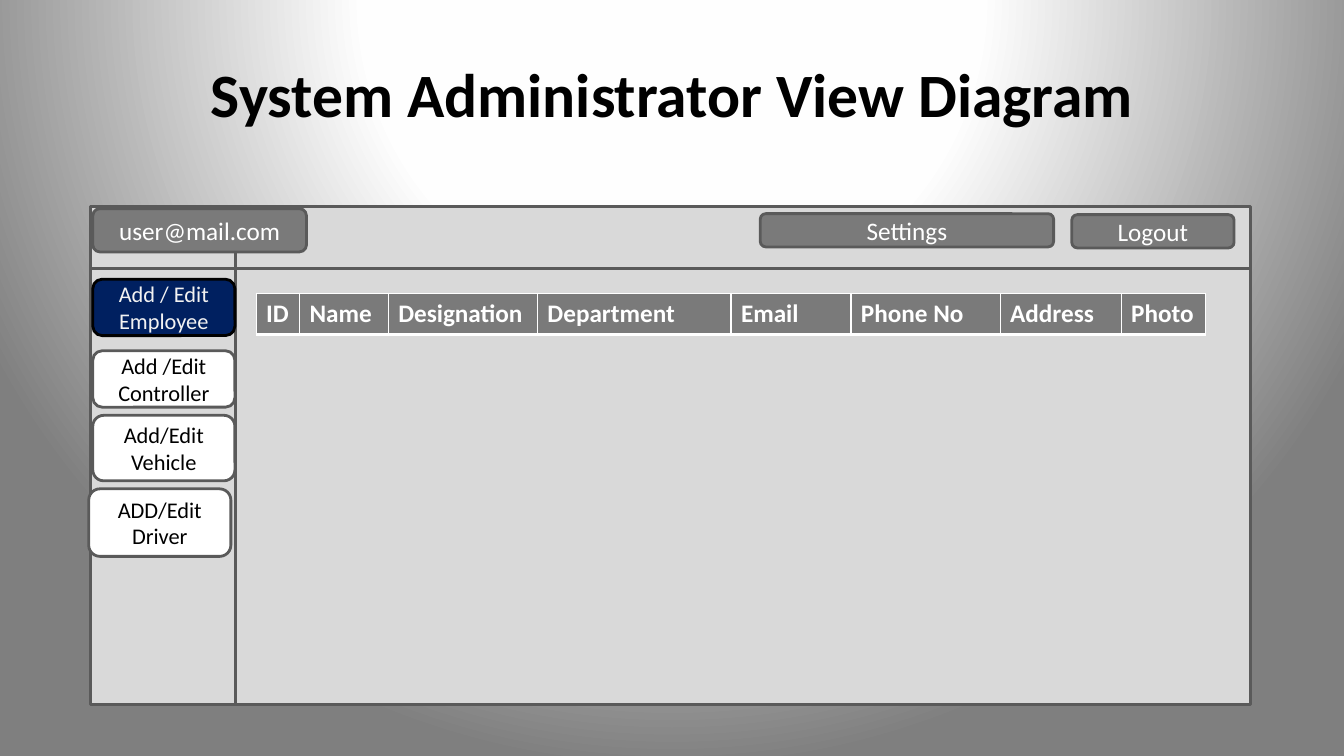
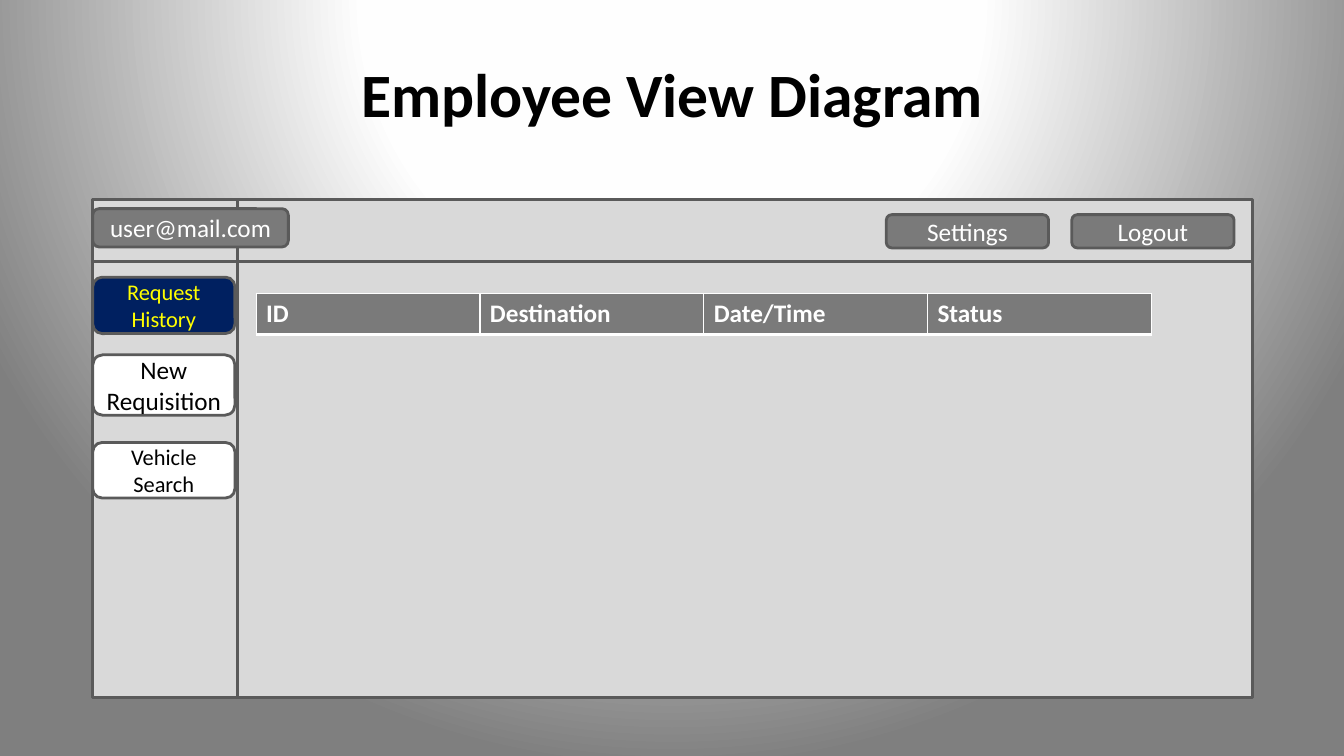
import pptx
import pptx.dml.color
import pptx.enum.shapes
import pptx.enum.text
import pptx.oxml
import pptx.oxml.ns
import pptx.util
import lxml.etree

Inches = pptx.util.Inches
Pt = pptx.util.Pt
qn = pptx.oxml.ns.qn
SHAPES = pptx.enum.shapes.MSO_SHAPE
ALIGN = pptx.enum.text.PP_ALIGN
MIDDLE = pptx.enum.text.MSO_ANCHOR.MIDDLE

COLORS = {
    "black": "000000",
    "white": "FFFFFF",
    "near_white": "FEFEFE",
    "backdrop": "7F7F7F",
    "panel": "D9D9D9",
    "control": "7A7A7A",
    "outline": "5A5A5A",
    "navy": "002060",
    "pale": "F2F2F2",
    "yellow": "FFFF00",
}
FONT = "Calibri"
MENU_LEFT, MENU_WIDTH = 0.92, 1.41


def rgb(name):
    return pptx.dml.color.RGBColor.from_string(COLORS[name])


def add_xml(parent, tag, **attributes):
    return lxml.etree.SubElement(parent, qn(tag), attributes)


class Deck:
    """Holds the shared style and the slide being built."""

    def __init__(self):
        self.prs = pptx.Presentation()
        self.prs.slide_width = Inches(13.33)
        self.prs.slide_height = Inches(7.5)
        self.slide = None
        self.set_background()

    def set_background(self):
        """Give the master a radial gradient lit from above."""
        master = self.prs.slide_master
        master.background.fill.gradient()
        gradient = master.element.find(".//" + qn("a:gradFill"))
        for child in list(gradient):
            gradient.remove(child)
        stops = add_xml(gradient, "a:gsLst")
        for percent, color in ((0, "white"), (40, "near_white"), (100, "backdrop")):
            stop = add_xml(stops, "a:gs", pos=str(percent * 1000))
            add_xml(stop, "a:srgbClr", val=COLORS[color])
        circle = add_xml(gradient, "a:path", path="circle")
        add_xml(circle, "a:fillToRect", l="50000", t="-80000", r="50000", b="180000")

    def style_text(self, paragraph, size, color, bold=False, align=None):
        paragraph.alignment = align
        font = paragraph.font
        font.name, font.size, font.bold = FONT, Pt(size), bold
        font.color.rgb = rgb(color)

    def new_slide(self, heading):
        self.slide = self.prs.slides.add_slide(self.prs.slide_layouts[5])
        title = self.slide.shapes.title
        title.left, title.top = Inches(0.67), Inches(0.3)
        title.width, title.height = Inches(12), Inches(1.25)
        title.text_frame.text = heading
        title.text_frame.vertical_anchor = MIDDLE
        self.style_text(title.text_frame.paragraphs[0], 44, "black", True, ALIGN.CENTER)

    def box(self, kind, left, top, width, height, fill, line="outline"):
        shape = self.slide.shapes.add_shape(
            kind, Inches(left), Inches(top), Inches(width), Inches(height))
        shape.shadow.inherit = False
        shape.fill.solid()
        shape.fill.fore_color.rgb = rgb(fill)
        shape.line.color.rgb = rgb(line)
        shape.line.width = Pt(2)
        return shape

    def window(self, left, top):
        self.box(SHAPES.FLOWCHART_INTERNAL_STORAGE, left, top, 11.5, 4.94, "panel")

    def button(self, label, left, top, width, height, size=18,
               fill="control", color="white", line="outline"):
        button = self.box(SHAPES.ROUNDED_RECTANGLE, left, top, width, height, fill, line)
        frame = button.text_frame
        frame.word_wrap = True
        frame.vertical_anchor = MIDDLE
        frame.text = label
        self.style_text(frame.paragraphs[0], size, color, align=ALIGN.CENTER)

    def menu_item(self, label, top, height, left=MENU_LEFT, size=16,
                  fill="white", color="black", line="outline"):
        self.button(label, left, top, MENU_WIDTH, height, size, fill, color, line)

    def table_header(self, columns):
        total = sum(width for _, width in columns)
        table = self.slide.shapes.add_table(
            1, len(columns), Inches(2.54), Inches(2.91), Inches(total), Inches(0.41)).table
        table.horz_banding = False
        for index, (label, width) in enumerate(columns):
            table.columns[index].width = Inches(width)
            cell = table.cell(0, index)
            cell.text = label
            self.style_text(cell.text_frame.paragraphs[0], 18, "white", True)
            self.cell_borders(cell)
            cell.fill.solid()
            cell.fill.fore_color.rgb = rgb("control")

    def cell_borders(self, cell):
        """White rules, heavier below."""
        properties = cell._tc.get_or_add_tcPr()
        for side, points in (("L", 1), ("R", 1), ("T", 1), ("B", 3)):
            rule = add_xml(properties, "a:ln" + side, w=str(Pt(points)))
            add_xml(add_xml(rule, "a:solidFill"), "a:srgbClr", val=COLORS["white"])


def administrator_view(deck):
    deck.new_slide("System Administrator View Diagram")
    deck.window(0.9, 2.05)

    # Top bar
    deck.button("Logout", 10.63, 2.13, 1.61, 0.33)
    deck.button("Settings", 7.54, 2.12, 2.91, 0.33)
    deck.button("user@mail.com", MENU_LEFT, 2.07, 2.12, 0.43)

    # Side menu
    deck.menu_item("Add / Edit Employee", 2.77, 0.56,
                   fill="navy", color="pale", line="black")
    deck.menu_item("Add /Edit Controller", 3.48, 0.56)
    deck.menu_item("Add/Edit Vehicle", 4.12, 0.65)
    deck.menu_item("ADD/Edit Driver", 4.85, 0.67, left=0.88)

    # Employee records
    deck.table_header([
        ("ID", 0.43), ("Name", 0.88), ("Designation", 1.48), ("Department", 1.92),
        ("Email", 1.19), ("Phone No", 1.48), ("Address", 1.2), ("Photo", 0.84)])


def employee_view(deck):
    deck.new_slide("Employee View Diagram")
    deck.window(0.92, 1.98)

    # Top bar
    deck.button("Logout", 10.63, 2.13, 1.61, 0.33)
    deck.button("Settings", 8.79, 2.13, 1.61, 0.33)
    deck.button("user@mail.com", MENU_LEFT, 2.07, 1.94, 0.38)

    # Side menu
    deck.menu_item("Request History", 2.75, 0.56, fill="navy", color="yellow")
    deck.menu_item("New Requisition", 3.52, 0.6, size=18)
    deck.menu_item("Vehicle Search", 4.39, 0.55)

    # Request records
    deck.table_header([(label, 2.22) for label in
                       ("ID", "Destination", "Date/Time", "Status")])


def main():
    deck = Deck()
    administrator_view(deck)
    employee_view(deck)
    deck.prs.save("out.pptx")


if __name__ == "__main__":
    main()
